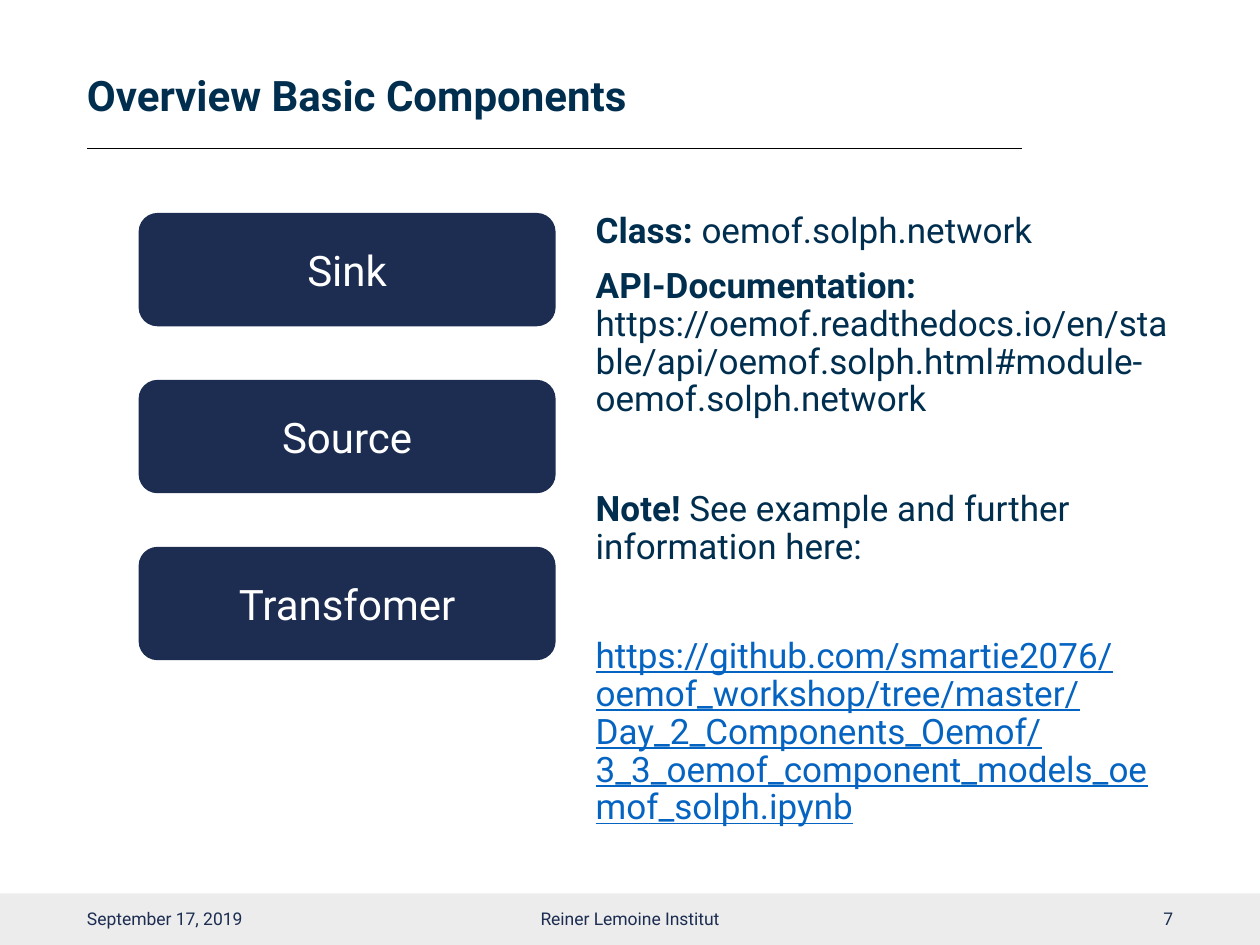
from dataclasses import dataclass

from lxml import etree
from pptx import Presentation
from pptx import util as u
from pptx.dml.color import RGBColor
from pptx.enum import shapes, text
from pptx.oxml.ns import qn

WIDTH, HEIGHT = u.Inches(10), u.Inches(7.5)
COLUMN, ROW = WIDTH / 100, HEIGHT / 75

NAVY = RGBColor(0x1C, 0x2D, 0x51)
INK = RGBColor(0x00, 0x2E, 0x4F)
LINK = RGBColor(0x05, 0x63, 0xC1)
WHITE = RGBColor(0xFF, 0xFF, 0xFF)
BLACK = RGBColor(0x00, 0x00, 0x00)
PALE = RGBColor(0xEC, 0xEC, 0xEC)

LEFT, CENTER, RIGHT = (text.PP_ALIGN.LEFT, text.PP_ALIGN.CENTER,
                       text.PP_ALIGN.RIGHT)
TOP, MIDDLE = text.MSO_ANCHOR.TOP, text.MSO_ANCHOR.MIDDLE


@dataclass(frozen=True)
class Area:
    """A rectangle in grid columns and rows."""
    left: float
    top: float
    width: float
    height: float

    def lengths(self) -> list[int]:
        return [round(self.left * COLUMN), round(self.top * ROW),
                round(self.width * COLUMN), round(self.height * ROW)]


@dataclass(frozen=True)
class Span:
    words: str
    bold: bool = False
    underline: bool = False
    color: RGBColor = INK


@dataclass(frozen=True)
class Para:
    spans: tuple[Span, ...]
    before: float = 0


@dataclass(frozen=True)
class Style:
    size: float
    align: text.PP_ALIGN = LEFT
    anchor: text.MSO_ANCHOR = MIDDLE
    spacing: float = 1.0
    insets: tuple[float, float, float, float] = (0.1, 0.05, 0.1, 0.05)


@dataclass(frozen=True)
class Label:
    area: Area
    paras: tuple[Para, ...]
    style: Style


def apply(target, values: dict) -> None:
    for name, value in values.items():
        setattr(target, name, value)


def line_of(words: str, color: RGBColor, bold: bool = False) -> tuple[Para, ...]:
    return (Para((Span(words, bold, color=color),)),)


def write(frame, paras: tuple[Para, ...], style: Style) -> None:
    left, top, right, bottom = map(u.Inches, style.insets)
    apply(frame, dict(word_wrap=True, vertical_anchor=style.anchor,
                      margin_left=left, margin_top=top,
                      margin_right=right, margin_bottom=bottom))
    for index, item in enumerate(paras):
        para = frame.add_paragraph() if index else frame.paragraphs[0]
        apply(para, dict(alignment=style.align, line_spacing=style.spacing,
                         space_before=u.Pt(item.before)))
        for span in item.spans:
            # A vertical tab in the words becomes a line break.
            for part, words in enumerate(span.words.split("\v")):
                if part:
                    para.add_line_break()
                run = para.add_run()
                run.text = words
                apply(run.font, dict(name="Roboto", size=u.Pt(style.size),
                                     bold=span.bold, underline=span.underline))
                run.font.color.rgb = span.color


def add_label(page, label: Label) -> None:
    box = page.shapes.add_textbox(*label.area.lengths())
    write(box.text_frame, label.paras, label.style)


def add_block(page, kind: shapes.MSO_SHAPE, area: Area, color: RGBColor):
    block = page.shapes.add_shape(kind, *area.lengths())
    block.shadow.inherit = False
    block.fill.solid()
    block.fill.fore_color.rgb = color
    block.line.fill.background()
    return block


def add_rule(page, left: float, right: float, row: float) -> None:
    rule = page.shapes.add_connector(
        shapes.MSO_CONNECTOR.STRAIGHT, round(left * COLUMN), round(row * ROW),
        round(right * COLUMN), round(row * ROW))
    rule.line.color.rgb = BLACK
    rule.line.width = u.Pt(0.5)
    etree.SubElement(rule._element.spPr, qn("a:effectLst"))


MARGIN = 6.9
FOOT_TOP, FOOT_HEIGHT = 70.9, 4
PARA_GAP, SECTION_GAP = 10, 41
COMPONENTS = ("Sink", "Source", "Transfomer")
FIRST_COMPONENT = Area(11, 16.9, 33.1, 9)
COMPONENT_STEP = 13.25

DETAILS = (
    Para((Span("Class: ", bold=True), Span("oemof.solph.network"))),
    Para((Span("API-Documentation: ", bold=True),
          Span("https://oemof.readthedocs.io/en/stable/api/"
               "oemof.solph.html#module-oemof.solph.network")), PARA_GAP),
    Para((Span("Note!", bold=True),
          Span(" See example and further information here:")), SECTION_GAP),
    Para((Span("https://github.com/smartie2076/\voemof_workshop/tree/master/\v"
               "Day_2_Components_Oemof/\v"
               "3_3_oemof_component_models_oemof_solph.ipynb",
               underline=True, color=LINK),), SECTION_GAP),
)

LABELS = (
    Label(Area(MARGIN, 3.8, 74.3, 8),
          line_of("Overview Basic Components", INK, bold=True),
          Style(24, spacing=0.9, insets=(0, 0.05, 0.1, 0.05))),
    Label(Area(46.3, 16.9, 47.7, 49.9), DETAILS,
          Style(20, anchor=TOP, spacing=0.9, insets=(0.1, 0, 0.1, 0.05))),
    Label(Area(MARGIN, FOOT_TOP, 22.5, FOOT_HEIGHT),
          line_of("September 17, 2019", NAVY),
          Style(10, insets=(0, 0.05, 0.1, 0.05))),
    Label(Area(33.1, FOOT_TOP, 33.8, FOOT_HEIGHT),
          line_of("Reiner Lemoine Institut", NAVY), Style(10, CENTER)),
    Label(Area(70.6, FOOT_TOP, 22.5, FOOT_HEIGHT), line_of("7", NAVY),
          Style(10, RIGHT, insets=(0, 0.05, 0, 0.05))),
)


def main() -> None:
    deck = Presentation()
    apply(deck, dict(slide_width=WIDTH, slide_height=HEIGHT))
    page = deck.slides.add_slide(deck.slide_layouts[6])

    add_block(page, shapes.MSO_SHAPE.RECTANGLE,
              Area(0, FOOT_TOP, 100, 75 - FOOT_TOP), PALE)
    add_rule(page, MARGIN, 81.1, 11.8)
    for label in LABELS:
        add_label(page, label)

    first = FIRST_COMPONENT
    for index, name in enumerate(COMPONENTS):
        area = Area(first.left, first.top + index * COMPONENT_STEP,
                    first.width, first.height)
        block = add_block(page, shapes.MSO_SHAPE.ROUNDED_RECTANGLE, area, NAVY)
        write(block.text_frame, line_of(name, WHITE), Style(24, CENTER))

    deck.save("out.pptx")


if __name__ == "__main__":
    main()
